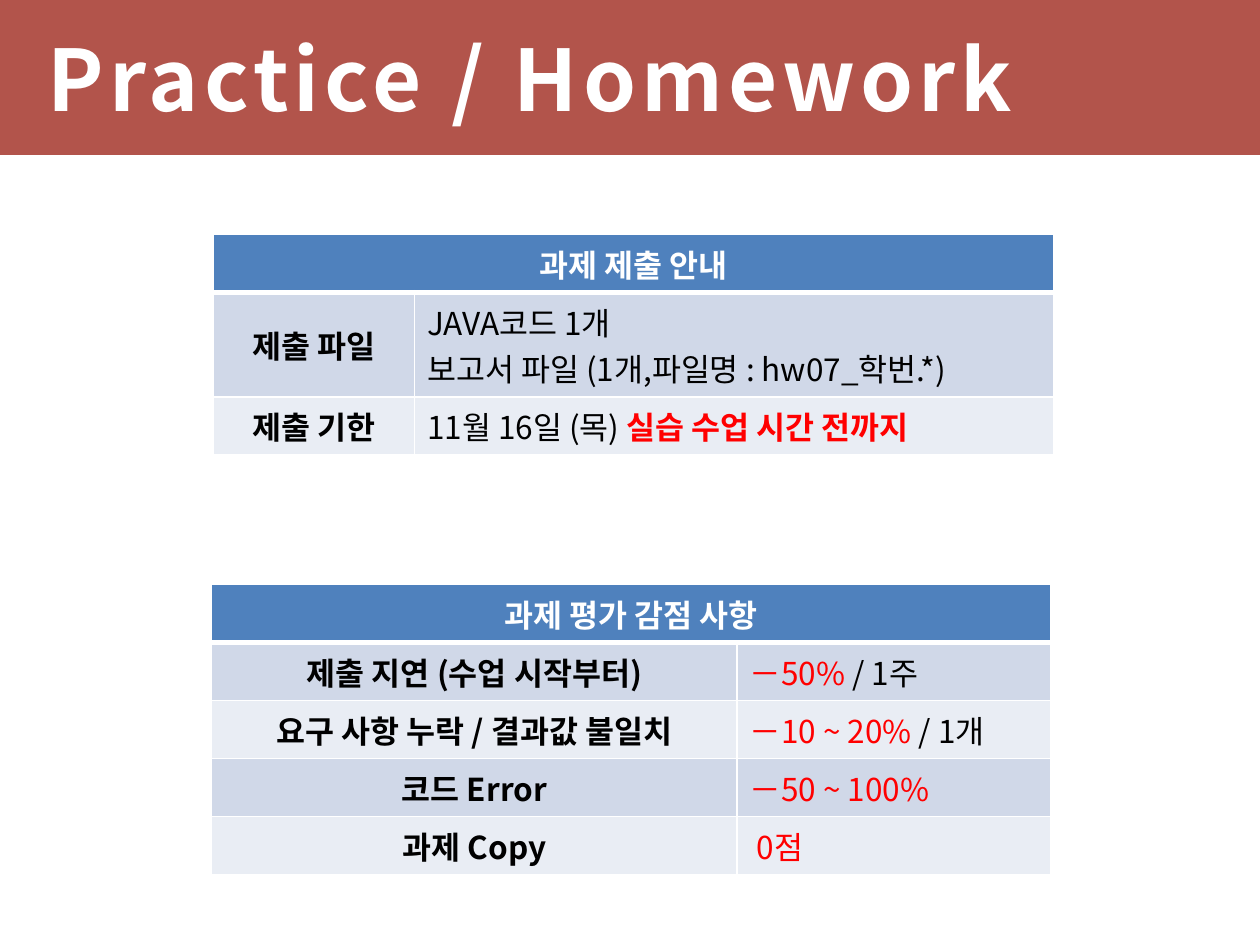
from dataclasses import dataclass
from lxml import etree
from pptx import Presentation
from pptx.dml.color import RGBColor
from pptx.enum.shapes import MSO_SHAPE
from pptx.enum.text import MSO_ANCHOR, PP_ALIGN
from pptx.oxml.ns import qn
from pptx.util import Inches, Pt

RECT = MSO_SHAPE.RECTANGLE
MIDDLE = MSO_ANCHOR.MIDDLE
LEFT, CENTER = PP_ALIGN.LEFT, PP_ALIGN.CENTER


@dataclass
class Theme:
    font: str = "Noto Sans CJK KR"
    banner: str = "9B1F13"
    head: str = "4F81BD"
    bands: tuple = ("D0D8E8", "E9EDF4")
    white: str = "FFFFFF"
    black: str = "000000"
    red: str = "FF0000"
    title: float = 48.5
    body: float = 18
    row: float = 0.46
    line: float = 0.37


class Deck:
    def __init__(self, theme):
        self.theme = theme
        self.prs = Presentation()
        self.prs.slide_width = Inches(10)
        self.prs.slide_height = Inches(7.5)
        self.slide = self.prs.slides.add_slide(self.prs.slide_layouts[6])

    def paint(self, fill, color):
        fill.solid()
        fill.fore_color.rgb = RGBColor.from_string(color)

    def run(self, para, text, size, color, bold=False):
        run = para.add_run()
        run.text = text
        font = run.font
        font.size, font.bold, font.name = Pt(size), bold, self.theme.font
        self.paint(font.fill, color)
        props = run._r.get_or_add_rPr()
        etree.SubElement(props, qn("a:ea"), typeface=self.theme.font)
        return props

    def banner(self, height, alpha):
        bar = self.slide.shapes.add_shape(RECT, 0, 0, Inches(10), Inches(height))
        bar.shadow.inherit = False
        bar.line.fill.background()
        self.paint(bar.fill, self.theme.banner)
        color = bar._element.spPr.find(qn("a:solidFill"))[0]
        etree.SubElement(color, qn("a:alpha"), val=str(alpha * 1000))

    def title(self, text, left, width, height):
        box = self.slide.shapes.add_textbox(
            Inches(left), 0, Inches(width), Inches(height))
        frame = box.text_frame
        frame.word_wrap = True
        frame.vertical_anchor = MIDDLE
        props = self.run(frame.paragraphs[0], text, self.theme.title,
                         self.theme.white, True)
        props.set("spc", "300")

    def border(self, cell, top, bottom):
        props = cell._tc.get_or_add_tcPr()
        for side, width in zip("LRTB", (1, 1, top, bottom)):
            line = etree.SubElement(props, qn(f"a:ln{side}"), w=str(Pt(width)))
            fill = etree.SubElement(line, qn("a:solidFill"))
            etree.SubElement(fill, qn("a:srgbClr"), val=self.theme.white)

    def cell(self, cell, lines, fill, align, top=1, bottom=1):
        self.border(cell, top, bottom)
        self.paint(cell.fill, fill)
        cell.vertical_anchor = MIDDLE
        frame = cell.text_frame
        for i, runs in enumerate(lines):
            para = frame.add_paragraph() if i else frame.paragraphs[0]
            para.alignment = align
            for text, color, bold in runs:
                self.run(para, text, self.theme.body, color, bold)

    def table(self, left, top, widths, head, rows):
        theme = self.theme
        highs = [theme.row] + [theme.row + theme.line * (len(lines) - 1)
                               for _, lines in rows]
        grid = self.slide.shapes.add_table(
            len(highs), 2, Inches(left), Inches(top),
            Inches(sum(widths)), Inches(sum(highs))).table
        for col, width in zip(grid.columns, widths):
            col.width = Inches(width)
        for row, high in zip(grid.rows, highs):
            row.height = Inches(high)
        grid.cell(0, 0).merge(grid.cell(0, 1))
        self.cell(grid.cell(0, 0), [[(head, theme.white, True)]],
                  theme.head, CENTER, bottom=3)
        self.cell(grid.cell(0, 1), [], theme.head, CENTER, bottom=3)
        for i, (label, lines) in enumerate(rows, 1):
            fill = theme.bands[(i - 1) % 2]
            edge = 3 if i == 1 else 1
            name = [[(label, theme.black, True)]]
            self.cell(grid.cell(i, 0), name, fill, CENTER, edge)
            self.cell(grid.cell(i, 1), lines, fill, LEFT, edge)

    def save(self):
        self.prs.save("out.pptx")


def main():
    theme = Theme()
    deck = Deck(theme)

    def plain(text):
        return text, theme.black, False

    def alert(text, bold=False):
        return text, theme.red, bold

    deck.banner(1.23, 76)
    deck.title("Practice / Homework", 0.28, 9.45, 1.23)
    deck.table(1.68, 4.64, (4.17, 2.49), "과제 평가 감점 사항", [
        ("제출 지연 (수업 시작부터)", [[alert("－50%"), plain(" / 1주")]]),
        ("요구 사항 누락 / 결과값 불일치",
         [[alert("－10 ~ 20%"), plain(" / 1개")]]),
        ("코드 Error", [[alert("－50 ~ 100%")]]),
        ("과제 Copy", [[alert(" 0점")]]),
    ])
    deck.table(1.69, 1.86, (1.6, 5.07), "과제 제출 안내", [
        ("제출 파일", [[plain("JAVA코드 1개")],
                   [plain("보고서 파일 (1개,파일명 : hw07_학번.*)")]]),
        ("제출 기한", [[plain("11월 16일 (목) "),
                    alert("실습 수업 시간 전까지", True)]]),
    ])
    deck.save()


if __name__ == "__main__":
    main()
